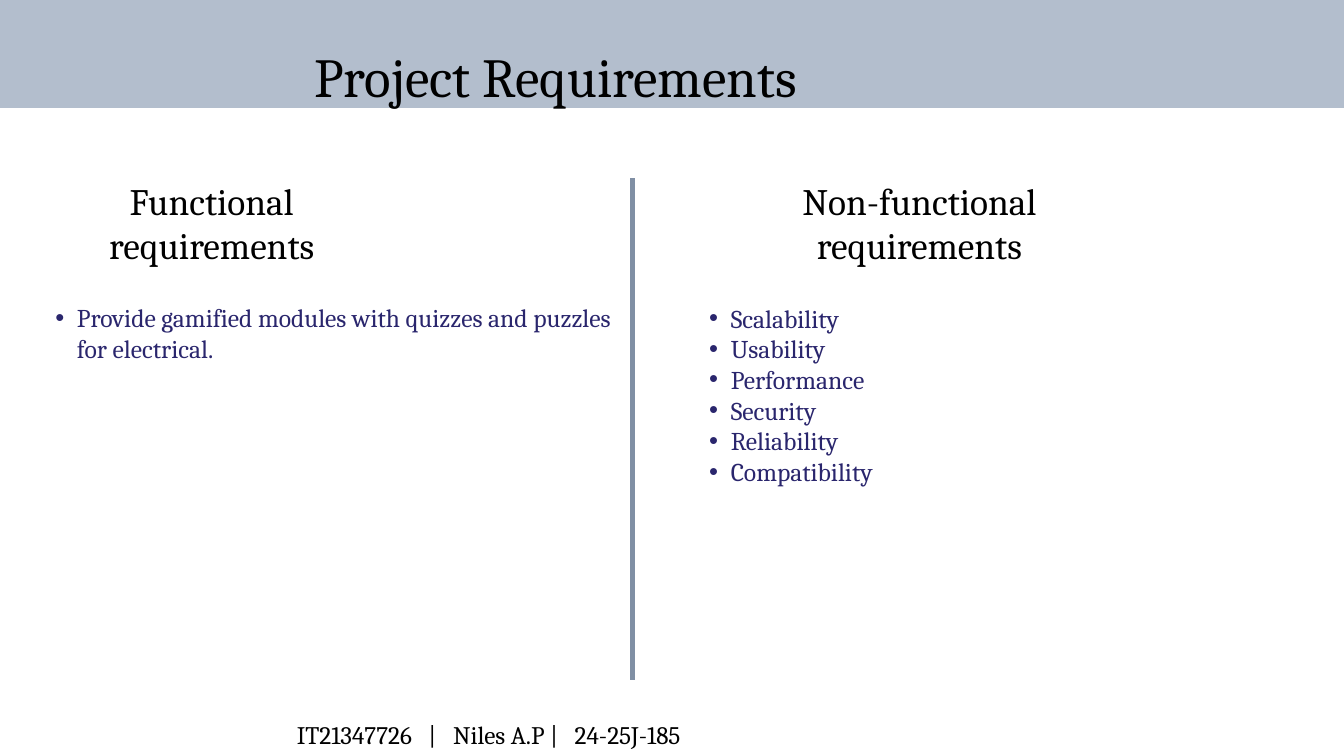
from lxml.etree import SubElement
from pptx import Presentation
from pptx.dml.color import RGBColor
from pptx.enum.shapes import MSO_CONNECTOR, MSO_SHAPE
from pptx.enum.text import PP_ALIGN
from pptx.oxml.ns import qn
from pptx.util import Emu, Pt

TITLE = "Project Requirements"
COLUMNS = [
    {"heading": "Functional requirements", "heading_left": 48, "list_left": 48,
     "items": ["Provide gamified modules with quizzes and puzzles for electrical."]},
    {"heading": "Non-functional requirements", "heading_left": 1059, "list_left": 982,
     "items": ["Scalability", "Usability", "Performance", "Security", "Reliability", "Compatibility"]},
]
FOOTER = "IT21347726   |   Niles A.P |   24-25J-185"

FONT = "Cambria"
BLACK, NAVY, BAND, DIVIDER = "000000", "2A266D", "B3BECD", "808FA4"
BULLET_INDENT, BULLET_HANG = 62, 31


def px(value):
    return Emu(value * 9525)


def color(value):
    return RGBColor.from_string(value)


def add_bullet(paragraph):
    properties = paragraph._p.get_or_add_pPr()
    properties.set("marL", str(px(BULLET_INDENT)))
    properties.set("indent", str(-px(BULLET_HANG)))
    SubElement(properties, qn("a:buFont"), typeface="Arial")
    SubElement(properties, qn("a:buChar"), char="•")


def add_text(slide, box, lines, size, spacing, ink=BLACK, align=PP_ALIGN.LEFT, bulleted=False):
    frame = slide.shapes.add_textbox(*map(px, box)).text_frame
    frame.word_wrap = True
    frame.margin_left = frame.margin_top = frame.margin_right = frame.margin_bottom = 0
    frame.text = "\n".join(lines)
    for paragraph in frame.paragraphs:
        if bulleted:
            add_bullet(paragraph)
        paragraph.alignment = align
        paragraph.line_spacing = Pt(spacing)
        paragraph.font.name = FONT
        paragraph.font.size = Pt(size)
        paragraph.font.color.rgb = color(ink)


def add_band(slide):
    band = slide.shapes.add_shape(MSO_SHAPE.RECTANGLE, *map(px, (0, -1, 1920, 155)))
    band.shadow.inherit = False
    band.fill.solid()
    band.fill.fore_color.rgb = color(BAND)
    band.line.fill.background()


def add_divider(slide):
    divider = slide.shapes.add_connector(MSO_CONNECTOR.STRAIGHT, *map(px, (904, 255, 904, 972)))
    divider.line.color.rgb = color(DIVIDER)
    divider.line.width = Pt(5.25)
    SubElement(divider._element.spPr, qn("a:effectLst"))


def main():
    presentation = Presentation()
    presentation.slide_width, presentation.slide_height = px(1920), px(1080)
    slide = presentation.slides.add_slide(presentation.slide_layouts[6])

    add_band(slide)
    add_text(slide, (449, 60, 1021, 94), [TITLE], 59, 70.8, align=PP_ALIGN.JUSTIFY)
    add_divider(slide)
    for column in COLUMNS:
        add_text(slide, (column["heading_left"], 254, 509, 129), [column["heading"]], 40, 48,
                 align=PP_ALIGN.CENTER)
        list_height = 44 * max(2, len(column["items"]))
        add_text(slide, (column["list_left"], 432, 830, list_height), column["items"], 27.4, 32.9,
                 ink=NAVY, bulleted=True)
    add_text(slide, (424, 1028, 1055, 43), [FOOTER], 27, 32.4)

    presentation.save("out.pptx")


if __name__ == "__main__":
    main()
